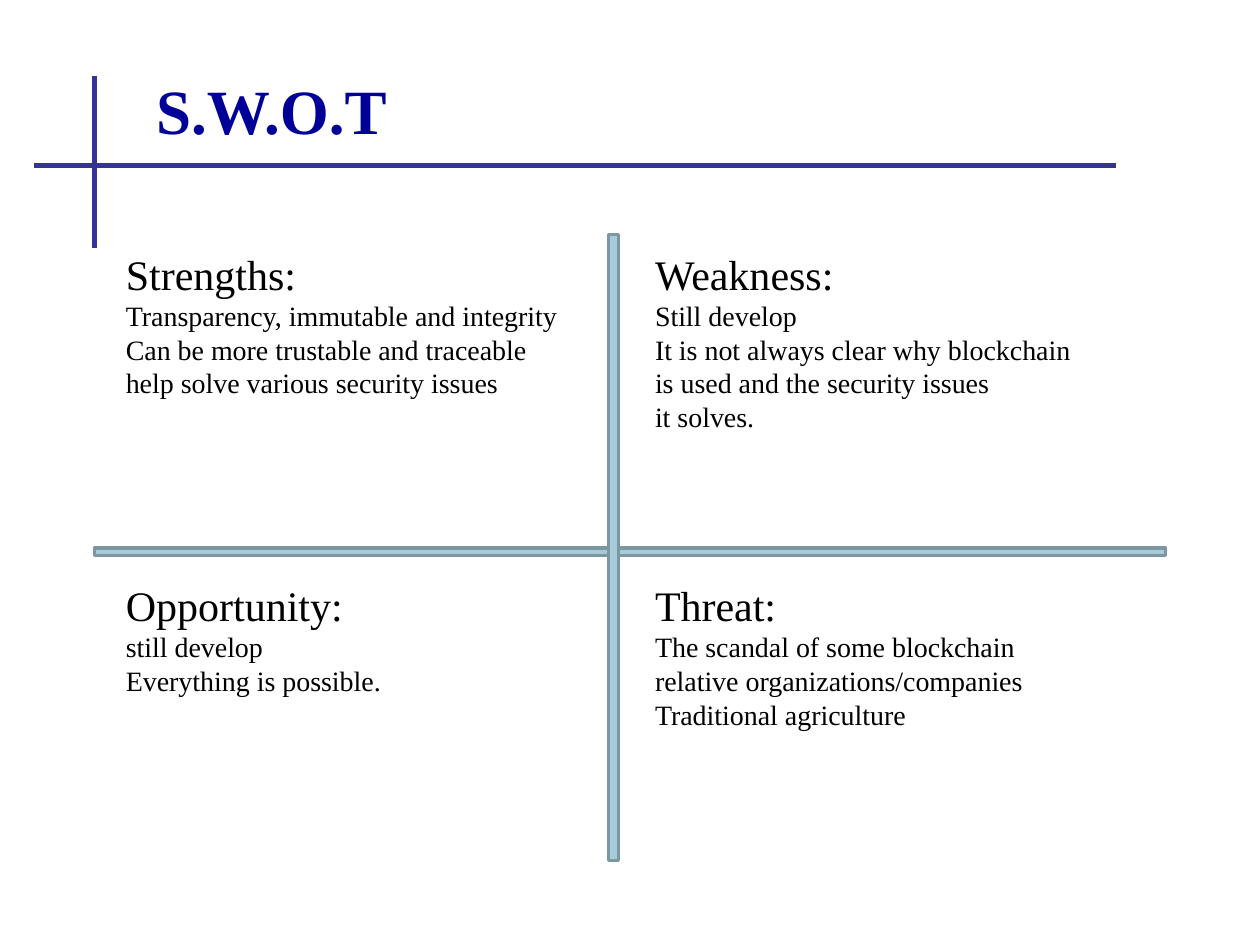
from typing import NamedTuple

from lxml.etree import SubElement
from pptx import Presentation
from pptx.dml.color import RGBColor
from pptx.enum.shapes import MSO_CONNECTOR, MSO_SHAPE
from pptx.enum.text import MSO_ANCHOR, MSO_AUTO_SIZE
from pptx.oxml.ns import qn
from pptx.util import Pt

FONT = "Times New Roman"


class Box(NamedTuple):
    x: float
    y: float
    w: float
    h: float


class Rule(NamedTuple):
    x1: float
    y1: float
    x2: float
    y2: float


class Quadrant(NamedTuple):
    box: Box
    heading: str
    points: list[str]


LEFT, RIGHT = 64.8, 367.2
TOP, BOTTOM = 138.24, 327.6

RULES = [Rule(19.6, 94.4, 638, 94.4), Rule(54, 43.4, 54, 141.6)]
BARS = [Box(54, 313.2, 612, 4.32), Box(347.76, 133.92, 5.76, 357.84)]
QUADRANTS = [
    Quadrant(Box(LEFT, TOP, 270, 94.32), "Strengths:", [
        "Transparency, immutable and integrity",
        "Can be more trustable and traceable",
        "help solve various security issues",
    ]),
    Quadrant(Box(RIGHT, TOP, 264.96, 113.76), "Weakness:", [
        "Still develop",
        "It is not always clear why blockchain is used and the security issues",
        "it solves.",
    ]),
    Quadrant(Box(LEFT, BOTTOM, 264.96, 104.4), "Opportunity:", [
        "still develop",
        "Everything is possible.",
    ]),
    Quadrant(Box(RIGHT, BOTTOM, 264.96, 94.32), "Threat:", [
        "The scandal of some blockchain relative organizations/companies",
        "Traditional agriculture",
    ]),
]


def color(value: str) -> RGBColor:
    return RGBColor.from_string(value)


def add_rule(s, rule: Rule) -> None:
    line = s.shapes.add_connector(MSO_CONNECTOR.STRAIGHT, *map(Pt, rule))
    line.line.color.rgb = color("333399")
    line.line.width = Pt(3)
    SubElement(line._element.spPr, qn("a:effectLst"))


def add_bar(s, box: Box) -> None:
    sp = s.shapes.add_shape(MSO_SHAPE.RECTANGLE, *map(Pt, box))
    sp.shadow.inherit = False
    sp.fill.solid()
    sp.fill.fore_color.rgb = color("A7CCD9")
    sp.line.color.rgb = color("7C97A1")
    sp.line.width = Pt(2)


def add_text_frame(s, box: Box):
    tf = s.shapes.add_textbox(*map(Pt, box)).text_frame
    tf.word_wrap = True
    return tf


def set_text(p, text: str, size: float, fill: str = "000000", bold: bool = False) -> None:
    p.text = text
    p.font.name = FONT
    p.font.size = Pt(size)
    p.font.bold = bold
    p.font.color.rgb = color(fill)


def add_title(s, text: str) -> None:
    tf = add_text_frame(s, Box(82.08, 25.92, 583.92, 73.44))
    tf.vertical_anchor = MSO_ANCHOR.MIDDLE
    set_text(tf.paragraphs[0], text, 36, "000099", True)


def add_quadrant(s, quadrant: Quadrant) -> None:
    tf = add_text_frame(s, quadrant.box)
    tf.auto_size = MSO_AUTO_SIZE.SHAPE_TO_FIT_TEXT
    set_text(tf.paragraphs[0], quadrant.heading, 24)
    for point in quadrant.points:
        set_text(tf.add_paragraph(), point, 16)


def main() -> None:
    prs = Presentation()
    prs.slide_width, prs.slide_height = Pt(720), Pt(540)
    s = prs.slides.add_slide(prs.slide_layouts[6])
    for rule in RULES:
        add_rule(s, rule)
    add_title(s, "S.W.O.T")
    for bar in BARS:
        add_bar(s, bar)
    for quadrant in QUADRANTS:
        add_quadrant(s, quadrant)
    prs.save("out.pptx")


if __name__ == "__main__":
    main()
